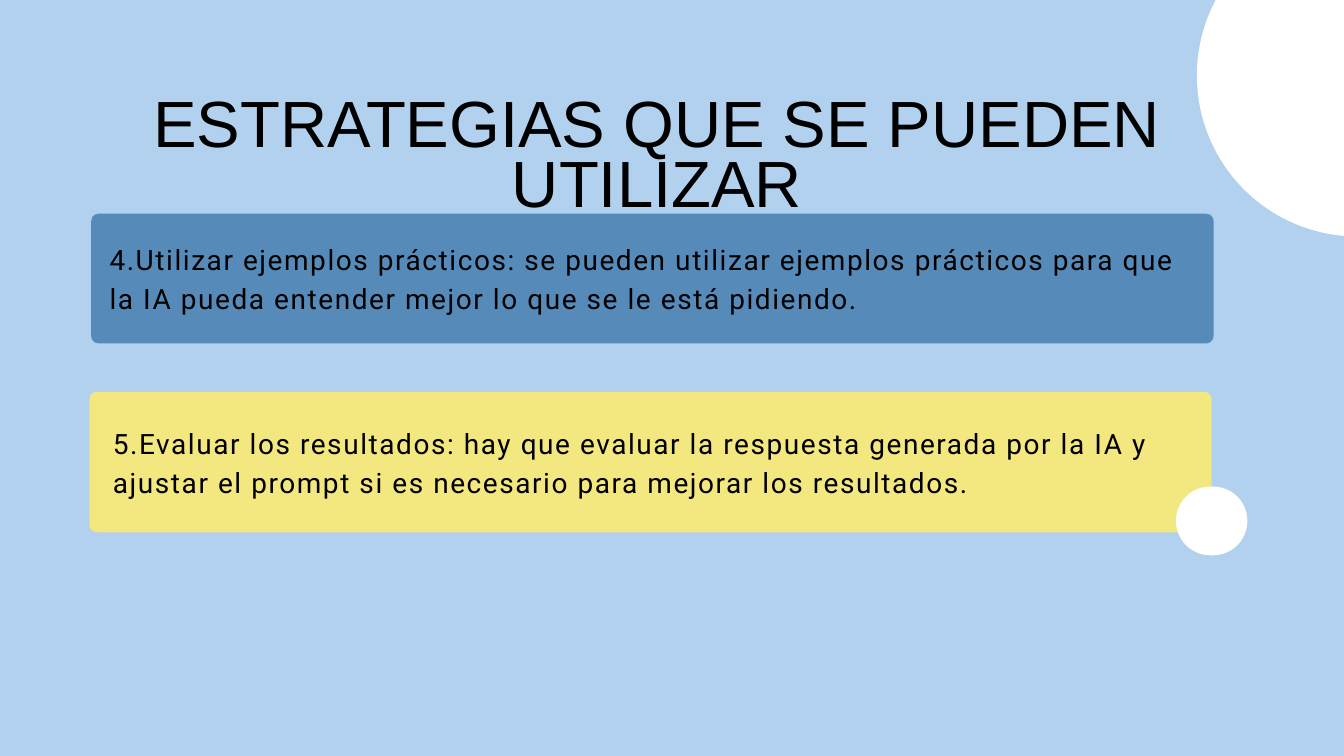
from typing import NamedTuple

from pptx import Presentation
from pptx.dml.color import RGBColor
from pptx.enum.shapes import MSO_SHAPE
from pptx.enum.text import MSO_ANCHOR, MSO_AUTO_SIZE, PP_ALIGN
from pptx.util import Cm, Pt


class Box(NamedTuple):
    left: float
    top: float
    width: float
    height: float


class Strategy(NamedTuple):
    card: Box
    color: str
    text_box: Box
    text: str


TITLE = "ESTRATEGIAS QUE SE PUEDEN UTILIZAR"
CORNER_RADIUS = 0.27
STRATEGIES = [
    Strategy(
        Box(3.45, 8.08, 42.42, 4.9), "568AB9", Box(4.14, 8.94, 40.94, 2.97),
        "4.Utilizar ejemplos prácticos: se pueden utilizar ejemplos prácticos "
        "para que la IA pueda entender mejor lo que se le está pidiendo.",
    ),
    Strategy(
        Box(3.38, 14.81, 42.42, 5.31), "F3E780", Box(4.27, 15.9, 41.15, 2.97),
        "5.Evaluar los resultados: hay que evaluar la respuesta generada por la IA "
        "y ajustar el prompt si es necesario para mejorar los resultados.",
    ),
]


def paint(fill, color: str) -> None:
    fill.solid()
    fill.fore_color.rgb = RGBColor.from_string(color)


def place(box: Box) -> list[Cm]:
    return [Cm(length) for length in box]


def add_panel(slide, kind: MSO_SHAPE, box: Box, color: str, radius: float = 0):
    panel = slide.shapes.add_shape(kind, *place(box))
    panel.shadow.inherit = False
    panel.line.fill.background()
    paint(panel.fill, color)
    if radius:
        panel.adjustments[0] = radius / min(box.width, box.height)
    return panel


def write(shape, text: str, font: str, size: float, leading: float,
          align: PP_ALIGN, tracking: float = 0) -> None:
    frame = shape.text_frame
    frame.margin_left = frame.margin_right = frame.margin_top = frame.margin_bottom = 0
    frame.word_wrap = True
    frame.auto_size = MSO_AUTO_SIZE.NONE
    frame.vertical_anchor = MSO_ANCHOR.TOP
    paragraph = frame.paragraphs[0]
    paragraph.alignment = align
    paragraph.line_spacing = Pt(leading)
    run = paragraph.add_run()
    run.text = text
    run.font.name = font
    run.font.size = Pt(size)
    paint(run.font.fill, "000000")
    if tracking:
        run.font._element.set("spc", str(round(tracking * 100)))


def build() -> None:
    deck = Presentation()
    deck.slide_width, deck.slide_height = Cm(50.8), Cm(28.575)
    slide = deck.slides.add_slide(deck.slide_layouts[5])
    paint(slide.background.fill, "B1D1EF")

    title = slide.shapes.title
    title.left, title.top, title.width, title.height = place(Box(2.84, 3.78, 43.99, 2.44))
    write(title, TITLE, "Arial", 70, 64.4, PP_ALIGN.CENTER)
    corner_circle = add_panel(slide, MSO_SHAPE.OVAL, Box(45.24, -3.23, 12.17, 12.17), "FFFFFF")
    title._element.addprevious(corner_circle._element)

    for strategy in STRATEGIES:
        add_panel(slide, MSO_SHAPE.ROUNDED_RECTANGLE, strategy.card, strategy.color, CORNER_RADIUS)
        text_box = slide.shapes.add_textbox(*place(strategy.text_box))
        write(text_box, strategy.text, "Roboto", 30, 42, PP_ALIGN.LEFT, 1.7)

    add_panel(slide, MSO_SHAPE.ROUNDED_RECTANGLE, Box(44.45, 18.39, 2.7, 2.6), "FFFFFF", 1.3)
    deck.save("out.pptx")


build()
